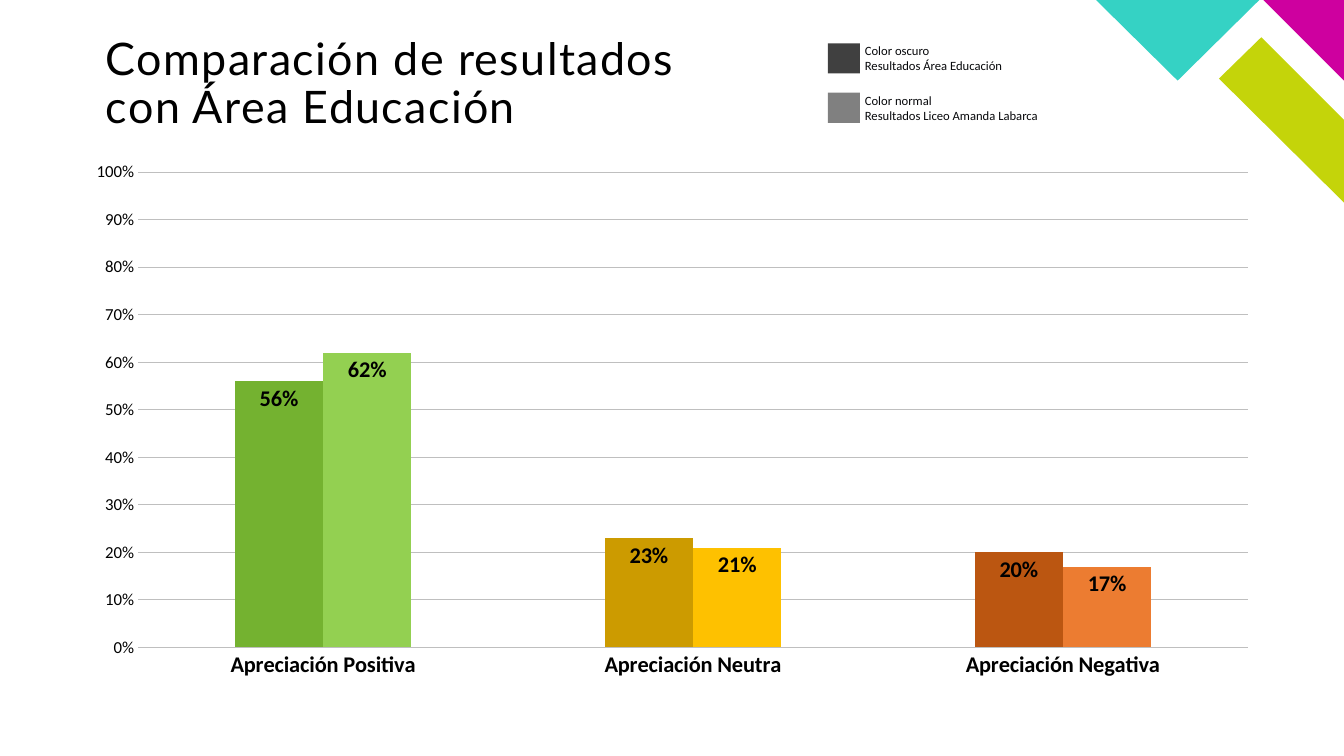
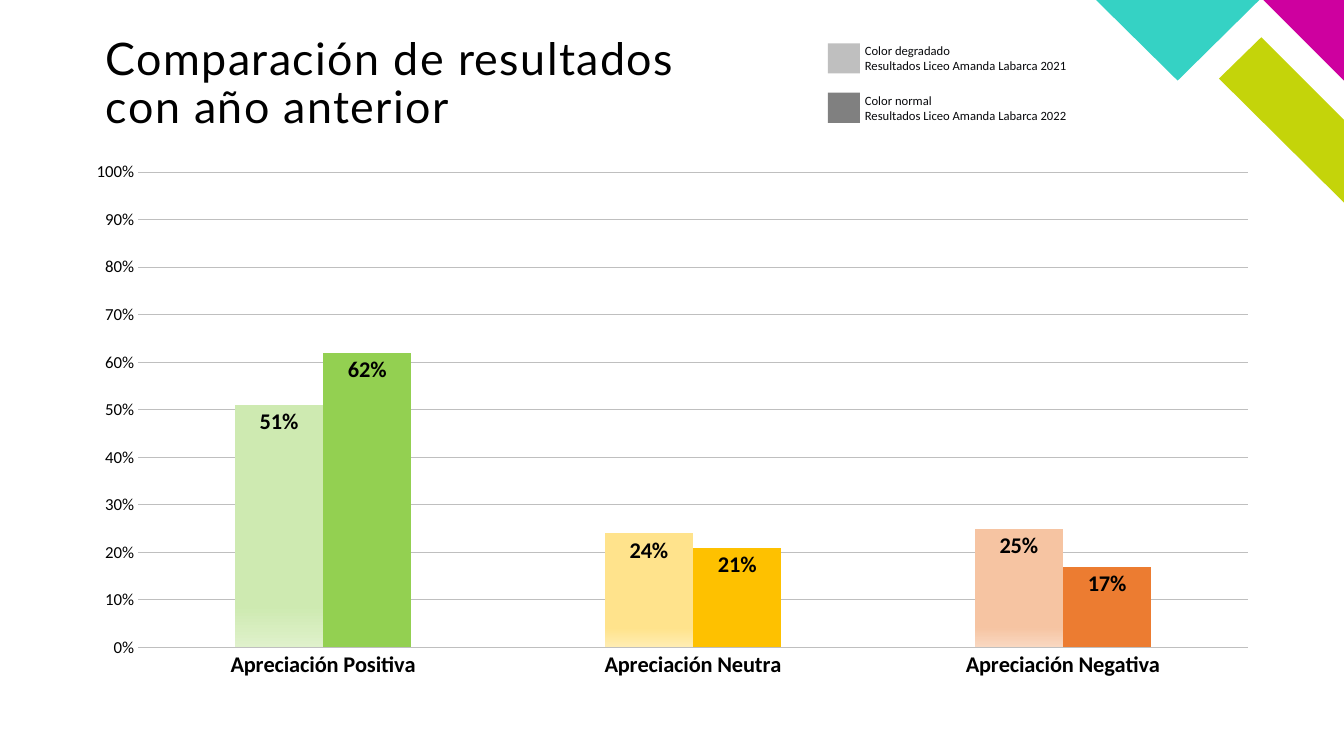
from pptx import Presentation
from pptx.chart.data import CategoryChartData
from pptx.dml.color import RGBColor
from pptx.enum.chart import XL_CHART_TYPE, XL_LABEL_POSITION, XL_TICK_MARK
from pptx.enum.shapes import MSO_SHAPE
from pptx.enum.text import MSO_ANCHOR, MSO_AUTO_SIZE, PP_ALIGN
from pptx.oxml import parse_xml
from pptx.oxml.ns import nsdecls, qn
from pptx.util import Inches, Pt

BLACK, GRID, LEGEND_TEXT = "000000", "BFBFBF", "07080B"
NORMAL_COLORS = ["93D051", "FEC100", "EC7C31"]
CATEGORIES = ["Apreciación Positiva", "Apreciación Neutra", "Apreciación Negativa"]
CURRENT_RESULTS = [0.62, 0.21, 0.17]

# Corner decoration: colour and outline in inches
CORNER = [
    ("C4D40A", [(13.33, 2.01), (13.33, 1.19), (12.51, 0.37), (12.09, 0.78)]),
    ("CE009F", [(13.33, 0.8), (13.33, 0), (12.53, 0)]),
    ("35D2C4", [(10.87, 0), (11.68, 0.8), (12.49, 0)]),
]

# A pair of colours stands for a gradient from top to bottom
SLIDES = [
    {
        "title": "Comparación de resultados con Área Educación",
        "values": [0.56, 0.23, 0.2],
        "colors": ["74B230", "CC9B00", "BB5611"],
        "legend": [
            ("404040", "Color oscuro\nResultados Área Educación"),
            ("808080", "Color normal\nResultados Liceo Amanda Labarca"),
        ],
    },
    {
        "title": "Comparación de resultados con año anterior",
        "values": [0.51, 0.24, 0.25],
        "colors": [("CEEAB1", "DFF1CB"), ("FFE38C", "FFEDB2"), ("F6C4A2", "F9D8C1")],
        "legend": [
            ("BFBFBF", "Color degradado\nResultados Liceo Amanda Labarca 2021"),
            ("808080", "Color normal\nResultados Liceo Amanda Labarca 2022"),
        ],
    },
]


def paint(fill, color):
    if isinstance(color, str):
        fill.solid()
        fill.fore_color.rgb = RGBColor.from_string(color)
        return
    fill.gradient()
    fill.gradient_angle = 270
    for stop, position, shade in zip(fill.gradient_stops, (0.83, 1), color):
        stop.position = position
        stop.color.rgb = RGBColor.from_string(shade)


def style_font(font, name, size, color=BLACK, bold=False):
    font.name, font.size, font.bold = name, Pt(size), bold
    font.color.rgb = RGBColor.from_string(color)


deck = Presentation()
deck.slide_width, deck.slide_height = Inches(13.33), Inches(7.5)
layout = deck.slide_layouts[5]

# Title position shared through the layout
title_frame = layout.placeholders[0]
title_frame.left, title_frame.top = Inches(1.05), Inches(0.36)
title_frame.width, title_frame.height = Inches(5.92), Inches(1.14)

for number, content in enumerate(SLIDES):
    page = deck.slides.add_slide(layout)

    # Corner decoration, drawn once and moved to the layout
    if number == 0:
        for order, (color, outline) in enumerate(CORNER):
            points = [(Inches(x), Inches(y)) for x, y in outline]
            builder = page.shapes.build_freeform(*points[0])
            builder.add_line_segments(points[1:], close=True)
            corner = builder.convert_to_shape()
            paint(corner.fill, color)
            corner.line.fill.background()
            corner.shadow.inherit = False
            layout.shapes.element.insert(2 + order, corner.element)

    # Title
    frame = page.shapes.title.text_frame
    frame.text = content["title"]
    frame.auto_size = MSO_AUTO_SIZE.NONE
    frame.word_wrap = True
    frame.vertical_anchor = MSO_ANCHOR.TOP
    frame.margin_left = frame.margin_right = frame.margin_top = frame.margin_bottom = 0
    para = frame.paragraphs[0]
    para.alignment = PP_ALIGN.LEFT
    para.line_spacing = 0.9
    span = para.runs[0]
    style_font(span.font, "Lato", 32)
    span.font._element.set("spc", "100")

    # Chart
    data = CategoryChartData(number_format="0%")
    data.categories = CATEGORIES
    data.add_series("Series 1", content["values"])
    data.add_series("Series 2", CURRENT_RESULTS)
    chart = page.shapes.add_chart(
        XL_CHART_TYPE.COLUMN_CLUSTERED,
        Inches(0.72), Inches(1.5), Inches(11.9), Inches(5.34), data,
    ).chart
    chart.has_title = chart.has_legend = False
    style_font(chart.font, "Calibri", 10)

    # Fixed plot area inside the chart
    plot_area = chart.element.chart.plotArea
    for old_layout in plot_area.findall(qn("c:layout")):
        plot_area.remove(old_layout)
    plot_area.insert(0, parse_xml(
        f'<c:layout {nsdecls("c")}><c:manualLayout><c:layoutTarget val="inner"/>'
        '<c:xMode val="edge"/><c:yMode val="edge"/><c:x val="0.0546"/><c:y val="0.039"/>'
        '<c:w val="0.925"/><c:h val="0.883"/></c:manualLayout></c:layout>'
    ))

    # Axes
    category_axis, value_axis = chart.category_axis, chart.value_axis
    for axis in (category_axis, value_axis):
        axis.major_tick_mark = axis.minor_tick_mark = XL_TICK_MARK.NONE
    style_font(category_axis.tick_labels.font, "Calibri", 16, bold=True)
    style_font(value_axis.tick_labels.font, "Calibri", 12)
    value_axis.tick_labels.number_format = "0%"
    value_axis.tick_labels.number_format_is_linked = False
    value_axis.minimum_scale, value_axis.maximum_scale = 0, 1
    value_axis.major_unit = 0.1
    value_axis.format.line.fill.background()
    value_axis.has_major_gridlines = True
    for line, width in ((category_axis.format.line, 0.75),
                        (value_axis.major_gridlines.format.line, 0.5)):
        paint(line.fill, GRID)
        line.width = Pt(width)

    # Columns and their labels
    plot = chart.plots[0]
    plot.gap_width, plot.overlap = 219, 0
    plot.vary_by_categories = False
    series_styles = [("35D2C4", content["colors"]), ("C3D600", NORMAL_COLORS)]
    for series, (base_color, colors) in zip(plot.series, series_styles):
        paint(series.format.fill, base_color)
        series.invert_if_negative = False
        for index, color in enumerate(colors):
            paint(series.points[index].format.fill, color)
        labels = series.data_labels
        labels.show_value = True
        labels.position = XL_LABEL_POSITION.INSIDE_END
        labels.number_format, labels.number_format_is_linked = "0%", False
        style_font(labels.font, "Calibri", 16, bold=True)

    # Legend
    for row, (color, caption) in enumerate(content["legend"]):
        offset = row * 0.49
        swatch = page.shapes.add_shape(
            MSO_SHAPE.RECTANGLE,
            Inches(8.21), Inches(0.43 + offset), Inches(0.32), Inches(0.3),
        )
        paint(swatch.fill, color)
        swatch.line.fill.background()
        swatch.shadow.inherit = False
        box = page.shapes.add_textbox(
            Inches(8.48), Inches(0.38 + offset), Inches(3.2), Inches(0.4)
        )
        box.text_frame.word_wrap = True
        box.text_frame.text = caption
        for para in box.text_frame.paragraphs:
            style_font(para.runs[0].font, "Calibri", 9, LEGEND_TEXT)

deck.save("out.pptx")
